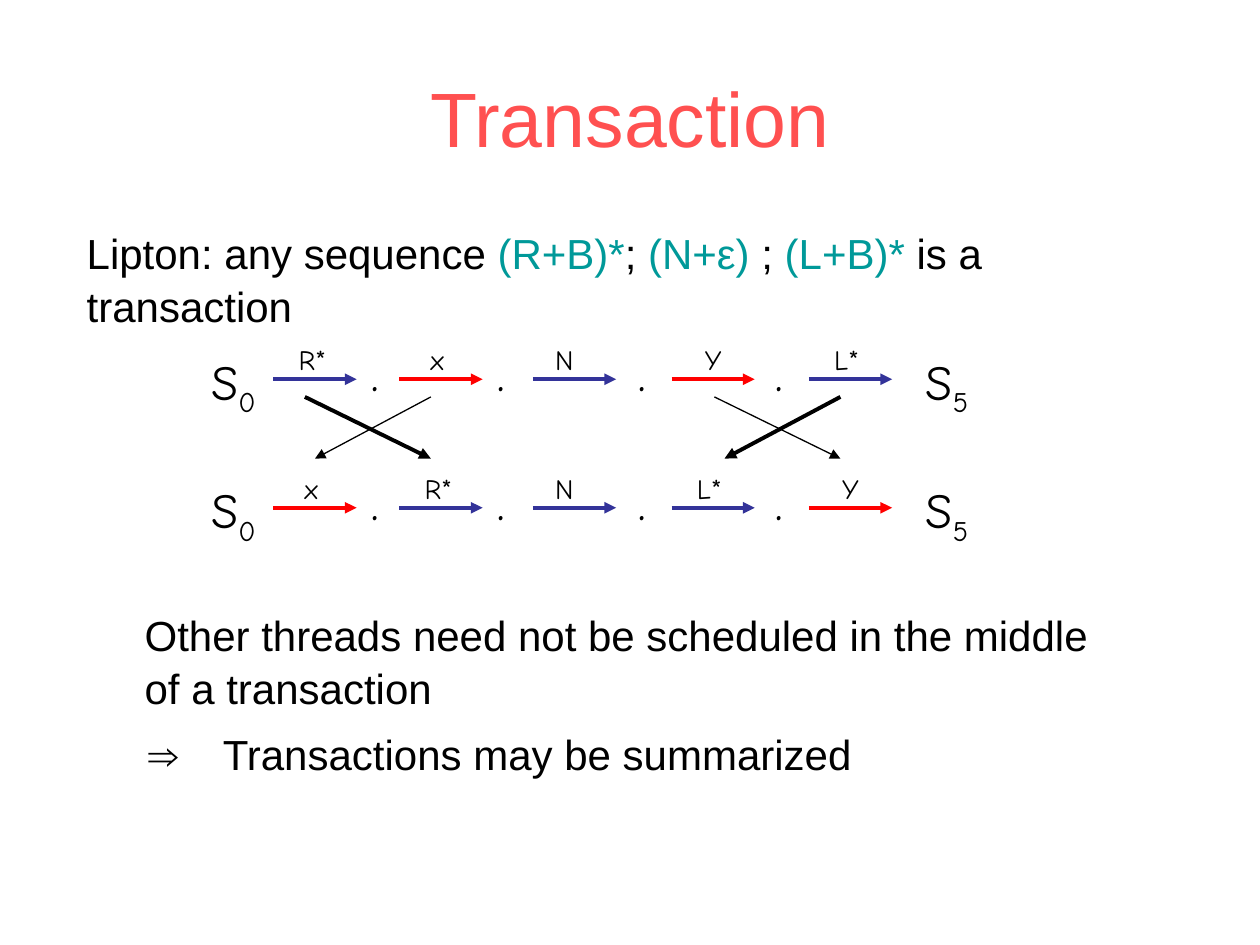
from pptx import Presentation
from pptx.dml.color import RGBColor
from pptx.enum.shapes import MSO_CONNECTOR
from pptx.enum.text import MSO_ANCHOR, PP_ALIGN
from pptx.oxml.ns import qn
from pptx.util import Inches, Pt
from lxml.etree import SubElement

BLACK, BLUE, RED, TEAL, CORAL = "000000", "333399", "FF0000", "009999", "FF5050"
ARROW_X = [2.17, 3.17, 4.23, 5.33, 6.42]
ARROW_W = 0.66
DOT_X = [2.85, 3.85, 4.97, 6.06]
LABEL_SHIFT = {"R*": -0.02, "x": -0.03, "N": -0.08, "Y": 0, "L*": -0.03}


def rgb(value):
    return RGBColor.from_string(value)


def add_run(p, text, size=24, font="Arial", color=BLACK, baseline=None):
    r = p.add_run()
    r.text = text
    r.font.size = Pt(size)
    r.font.name = font
    r.font.color.rgb = rgb(color)
    if baseline:
        r.font._element.set("baseline", str(baseline))


def add_text(s, box, paragraphs, align=PP_ALIGN.LEFT, anchor=MSO_ANCHOR.TOP,
             spacing=None, tab=None):
    tf = s.shapes.add_textbox(*map(Inches, box)).text_frame
    tf.word_wrap = True
    tf.vertical_anchor = anchor
    for i, runs in enumerate(paragraphs):
        p = tf.paragraphs[0] if i == 0 else tf.add_paragraph()
        p.alignment = align
        if spacing:
            p.line_spacing = spacing
        if tab:
            tabs = SubElement(p._p.get_or_add_pPr(), qn("a:tabLst"))
            SubElement(tabs, qn("a:tab"), pos=str(Inches(tab)), algn="l")
        for text, fmt in runs:
            add_run(p, text, **fmt)


def add_arrow(s, x1, y1, x2, y2, color=BLACK, width=2.25):
    c = s.shapes.add_connector(MSO_CONNECTOR.STRAIGHT, *map(Inches, (x1, y1, x2, y2)))
    c.line.color.rgb = rgb(color)
    c.line.width = Pt(width)
    SubElement(c.line._get_or_add_ln(), qn("a:tailEnd"), type="triangle")
    SubElement(c._element.spPr, qn("a:effectLst"))


def add_state(s, x, y, index):
    comic = dict(size=28, font="Comic Neue")
    add_text(s, (x, y, 0.8, 0.63), [[("S", comic), (index, dict(comic, baseline=-25000))]])


def add_trace(s, y, labels):
    add_state(s, 1.58, y - 0.27, "0")
    for x, label in zip(ARROW_X, labels):
        add_arrow(s, x, y, x + ARROW_W, y, RED if label in "xY" else BLUE)
        center = x + ARROW_W / 2 + LABEL_SHIFT[label]
        add_text(s, (center - 0.3, y - 0.34, 0.6, 0.37),
                 [[(label, dict(size=16, font="Comic Neue"))]], PP_ALIGN.CENTER)
    for x in DOT_X:
        add_text(s, (x, y - 0.34, 0.4, 0.57), [[(".", dict(size=28, font="Comic Neue"))]])
    add_state(s, 7.25, y - 0.27, "5")


def add_swaps(s, top, bottom):
    for x1, x2, width in [(3.42, 2.5, 0.75), (6.67, 5.75, 2.25),
                          (2.42, 3.42, 2.25), (5.67, 6.67, 0.75)]:
        add_arrow(s, x1, top, x2, bottom, width=width)


def add_title(s, box):
    add_text(s, box, [[("Transaction", dict(size=44, color=CORAL))]],
             PP_ALIGN.CENTER, MSO_ANCHOR.MIDDLE)


def add_claim(s, box):
    teal = dict(color=TEAL)
    add_text(s, box, [[("Lipton: any sequence ", {}), ("(R+B)*", teal), ("; ", {}),
                       ("(N+ε) ", teal), ("; ", {}), ("(L+B)*", teal),
                       (" is a transaction", {})]], spacing=1.05)


def add_conclusion(s, x, y):
    add_text(s, (x, y, 8.2, 0.9),
             [[("Other threads need not be scheduled in the middle", {})],
              [("of a transaction", {})]], spacing=1.05)
    add_text(s, (x + 0.03, y + 0.94, 6.5, 0.5),
             [[("⇒\tTransactions may be summarized", {})]], spacing=1.05, tab=0.59)


def main():
    prs = Presentation()
    prs.slide_width, prs.slide_height = Inches(10), Inches(7.5)
    s = prs.slides.add_slide(prs.slide_layouts[6])
    add_title(s, (0.5, 0.3, 9, 1.25))
    add_trace(s, 3.01, ["R*", "x", "N", "Y", "L*"])
    add_trace(s, 4.03, ["x", "R*", "N", "L*", "Y"])
    add_swaps(s, 3.15, 3.64)
    add_conclusion(s, 1.05, 4.77)
    add_claim(s, (0.59, 1.74, 8.8, 0.9))
    prs.save("out.pptx")


if __name__ == "__main__":
    main()
